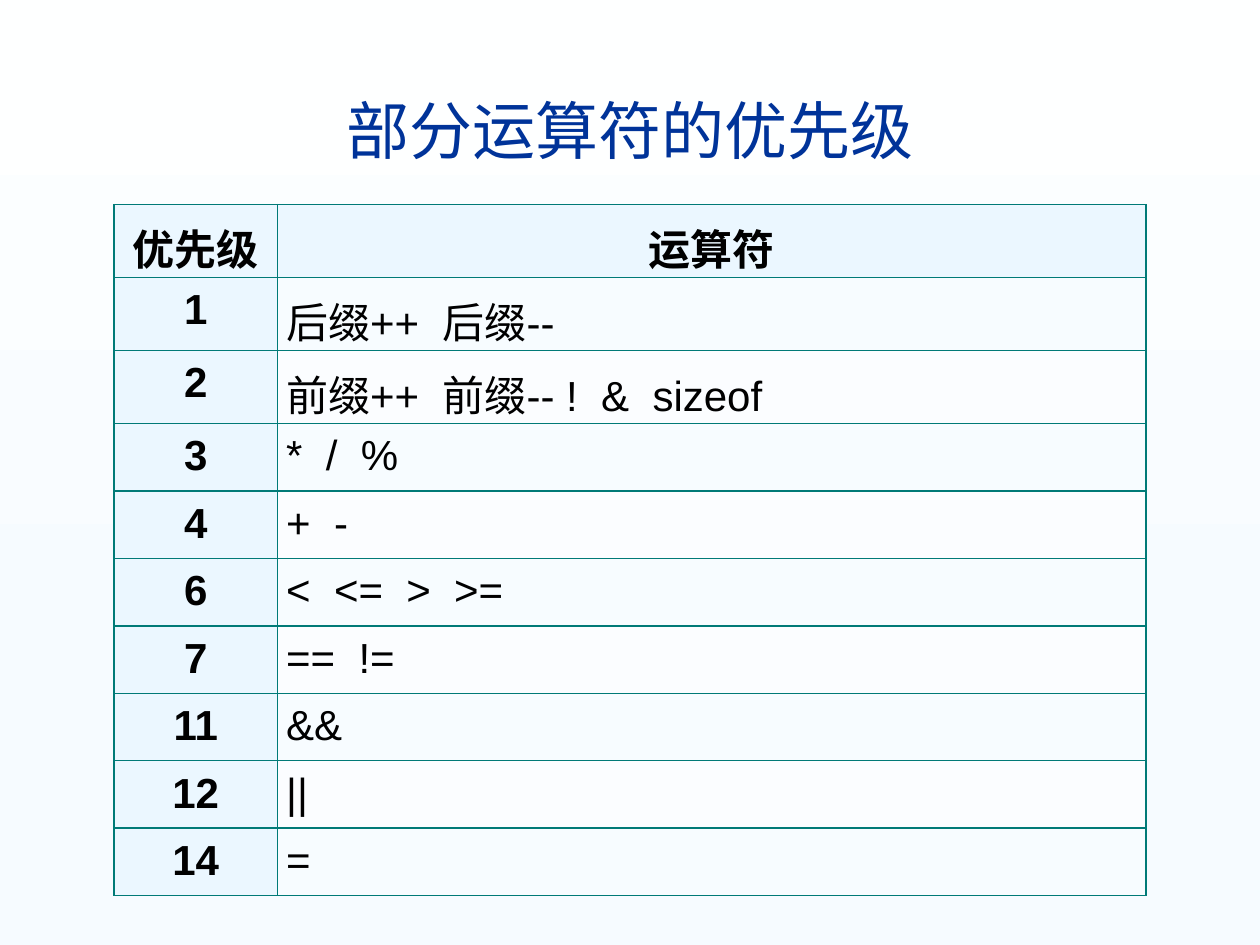
from lxml import etree
from pptx import Presentation
from pptx.dml.color import RGBColor
from pptx.enum.text import MSO_ANCHOR, PP_ALIGN
from pptx.oxml import parse_xml
from pptx.oxml.ns import nsdecls, qn
from pptx.util import Pt

TITLE = "部分运算符的优先级"
HEADINGS = ("优先级", "运算符")
PRECEDENCE = [
    ("1", ["后缀++", "后缀--"]),
    ("2", ["前缀++", "前缀-- !", "&", "sizeof"]),
    ("3", ["*", "/", "%"]),
    ("4", ["+", "-"]),
    ("6", ["<", "<=", ">", ">="]),
    ("7", ["==", "!="]),
    ("11", ["&&"]),
    ("12", ["||"]),
    ("14", ["="]),
]

LATIN, CHINESE = "Arial", "Noto Sans CJK SC"
BLACK = RGBColor(0x00, 0x00, 0x00)
TITLE_BLUE = RGBColor(0x00, 0x33, 0x99)
BORDER_TEAL = RGBColor(0x00, 0x7A, 0x77)
HEADING_FILL = RGBColor(0xEB, 0xF7, 0xFF)
BAND_FILLS = (RGBColor(0xF7, 0xFC, 0xFF), RGBColor(0xFB, 0xFD, 0xFF))
BACKDROP = [
    (0, RGBColor(0xFE, 0xFF, 0xFF)),
    (74, RGBColor(0xF6, 0xFB, 0xFF)),
    (83, RGBColor(0xF6, 0xFB, 0xFF)),
    (100, RGBColor(0xF9, 0xFD, 0xFF)),
]

CENTER, JUSTIFY = PP_ALIGN.CENTER, PP_ALIGN.JUSTIFY
MIDDLE, TOP = MSO_ANCHOR.MIDDLE, MSO_ANCHOR.TOP

TABLE_LEFT, TABLE_TOP = 65.2, 116.9
COLUMN_WIDTHS = (93.4, 496.4)
CHINESE_HEIGHT, SYMBOL_HEIGHT = 41.75, 38.55
CHINESE_ROWS = 3  # the heading and the first two levels
ROW_HEIGHTS = [
    CHINESE_HEIGHT if index < CHINESE_ROWS else SYMBOL_HEIGHT
    for index in range(len(PRECEDENCE) + 1)
]
GAP_SPACING = 6.67  # widens the one space between two operators


def paint_background(slide):
    slide.background.fill.gradient()
    gradient = slide.background._cSld.find(".//" + qn("a:gradFill"))
    stops = "".join(
        f'<a:gs pos="{position * 1000}"><a:srgbClr val="{color}"/></a:gs>'
        for position, color in BACKDROP
    )
    gradient.getparent().replace(gradient, parse_xml(
        f'<a:gradFill {nsdecls("a")} rotWithShape="1"><a:gsLst>{stops}</a:gsLst>'
        '<a:lin ang="5400000" scaled="0"/></a:gradFill>'
    ))


def add_span(para, text, size, color, latin=LATIN, bold=False):
    span = para.add_run()
    span.text = text
    font = span.font
    font.size, font.bold, font.name = Pt(size), bold, latin
    font.color.rgb = color
    east_asian = etree.Element(qn("a:ea"), typeface=CHINESE)
    span._r.rPr.find(qn("a:latin")).addnext(east_asian)
    return span


def set_borders(cell):
    properties = cell._tc.get_or_add_tcPr()
    for index, side in enumerate(("lnL", "lnR", "lnT", "lnB")):
        properties.insert(index, parse_xml(
            f'<a:{side} {nsdecls("a")} w="{Pt(1)}"><a:solidFill>'
            f'<a:srgbClr val="{BORDER_TEAL}"/></a:solidFill></a:{side}>'
        ))


def fill_cell(cell, parts, fill, alignment, bold):
    cell.fill.solid()
    cell.fill.fore_color.rgb = fill
    set_borders(cell)
    cell.margin_left = cell.margin_right = Pt(5)
    cell.margin_top = cell.margin_bottom = 0
    cell.vertical_anchor = TOP
    para = cell.text_frame.paragraphs[0]
    para.alignment, para.line_spacing = alignment, 1.2
    for index, part in enumerate(parts):
        if index:
            gap = add_span(para, " ", 24, BLACK, bold=bold)
            gap._r.rPr.set("spc", str(round(GAP_SPACING * 100)))
        add_span(para, part, 24, BLACK, bold=bold)


def add_title(slide):
    box = slide.shapes.add_textbox(Pt(24), Pt(48), Pt(672), Pt(52))
    frame = box.text_frame
    frame.word_wrap, frame.vertical_anchor = True, MIDDLE
    para = frame.paragraphs[0]
    para.alignment = CENTER
    add_span(para, TITLE, 36, TITLE_BLUE, latin=CHINESE)


def add_precedence_table(slide):
    table = slide.shapes.add_table(
        len(ROW_HEIGHTS), len(COLUMN_WIDTHS), Pt(TABLE_LEFT), Pt(TABLE_TOP),
        Pt(sum(COLUMN_WIDTHS)), Pt(sum(ROW_HEIGHTS)),
    ).table
    table.horz_banding = False
    for column, width in zip(table.columns, COLUMN_WIDTHS):
        column.width = Pt(width)
    for row, height in zip(table.rows, ROW_HEIGHTS):
        row.height = Pt(height)
    for column, heading in enumerate(HEADINGS):
        fill_cell(table.cell(0, column), [heading], HEADING_FILL, CENTER, True)
    for index, (level, operators) in enumerate(PRECEDENCE):
        band = BAND_FILLS[index % 2]
        fill_cell(table.cell(index + 1, 0), [level], HEADING_FILL, CENTER, True)
        fill_cell(table.cell(index + 1, 1), operators, band, JUSTIFY, False)


def main():
    deck = Presentation()
    deck.slide_width, deck.slide_height = Pt(720), Pt(540)
    slide = deck.slides.add_slide(deck.slide_layouts[6])
    paint_background(slide)
    add_title(slide)
    add_precedence_table(slide)
    deck.save("out.pptx")


if __name__ == "__main__":
    main()
